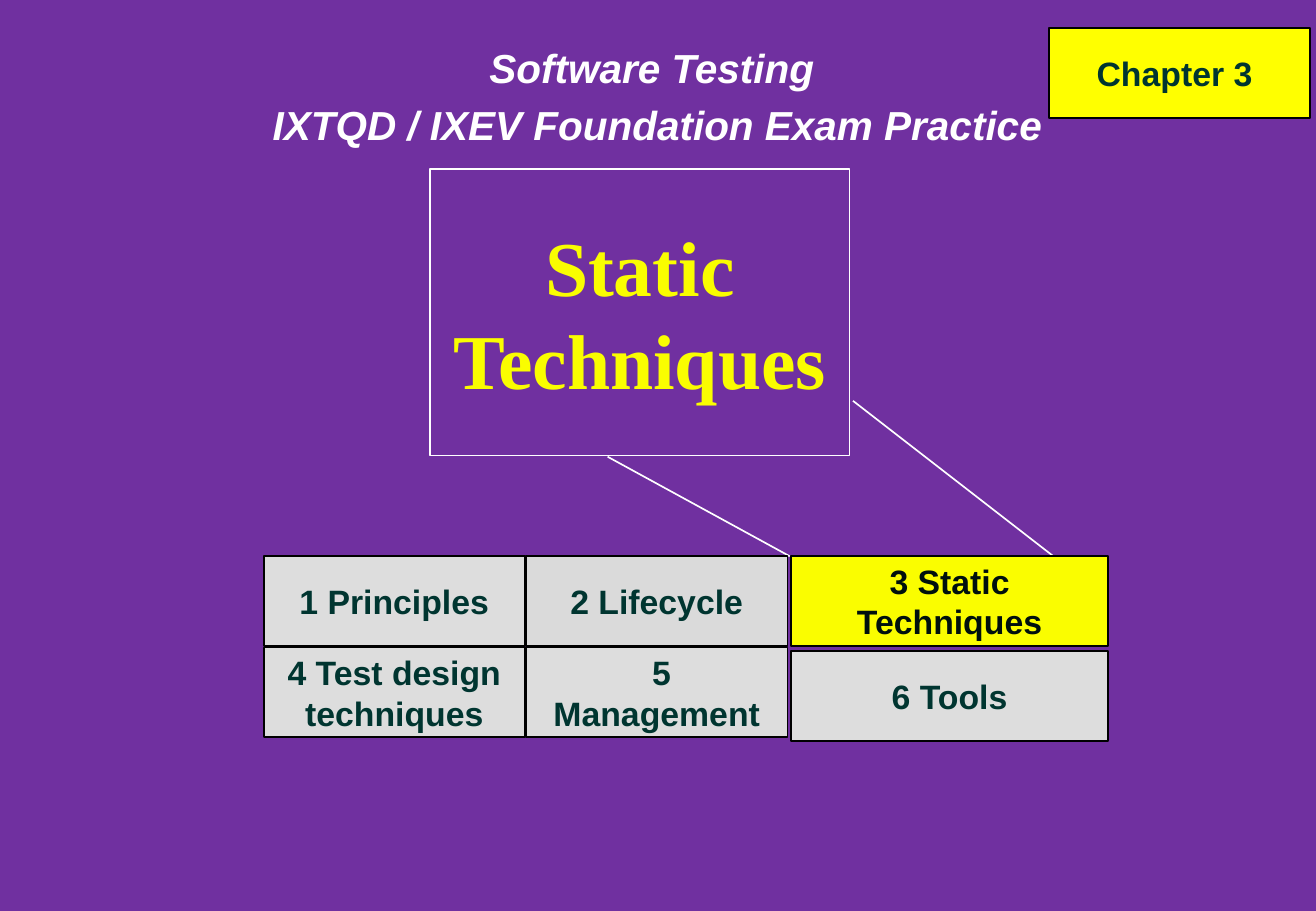
import dataclasses

import pptx
import pptx.dml.color
import pptx.enum.shapes
import pptx.enum.text
import pptx.oxml.ns
import pptx.util

PX = 9144  # 100 px to the inch
COLORS = {
    "back": "7030A0", "white": "FFFFFF", "black": "000000",
    "gray": "DDDDDD", "pale": "DADADA", "lemon": "FAFD00",
    "yellow": "FFFF00", "green": "003530", "dark": "00100E",
}


@dataclasses.dataclass
class Box:
    text: str
    left: int
    top: int
    width: int = 215
    fill: str = "gray"
    ink: str = "green"


@dataclasses.dataclass
class Line:
    x1: int
    y1: int
    x2: int
    y2: int


def px(*sizes: int) -> list:
    return [pptx.util.Emu(size * PX) for size in sizes]


def rgb(name: str) -> pptx.dml.color.RGBColor:
    return pptx.dml.color.RGBColor.from_string(COLORS[name])


def set_line(shape, color: str) -> None:
    shape.line.color.rgb = rgb(color)
    shape.line.width = pptx.util.Pt(1)


def write(shape, *texts: str, size: int = 20, color: str = "green",
          font: str = "Arial", italic: bool = False, space: float | None = None,
          anchor=pptx.enum.text.MSO_ANCHOR.MIDDLE, pad: tuple = (10, 5),
          fit=pptx.enum.text.MSO_AUTO_SIZE.NONE) -> None:
    frame = shape.text_frame
    frame.word_wrap = True
    frame.auto_size = fit
    frame.vertical_anchor = anchor
    frame.margin_left, frame.margin_top = px(*pad)
    frame.margin_right, frame.margin_bottom = px(*pad)
    for i, text in enumerate(texts):
        para = frame.add_paragraph() if i else frame.paragraphs[0]
        para.text = text
        para.alignment = pptx.enum.text.PP_ALIGN.CENTER
        if space:
            para.line_spacing = space
        for run in para.runs:
            run.font.name = font
            run.font.size = pptx.util.Pt(size)
            run.font.bold = True
            run.font.italic = italic
            run.font.color.rgb = rgb(color)


def add_box(slide, box: Box) -> None:
    kind = pptx.enum.shapes.MSO_SHAPE.RECTANGLE
    shape = slide.shapes.add_shape(kind, *px(box.left, box.top, box.width, 74))
    shape.shadow.inherit = False
    shape.fill.solid()
    shape.fill.fore_color.rgb = rgb(box.fill)
    set_line(shape, "black")
    write(shape, box.text, color=box.ink)


def add_line(slide, line: Line) -> None:
    kind = pptx.enum.shapes.MSO_CONNECTOR.STRAIGHT
    ends = px(line.x1, line.y1, line.x2, line.y2)
    shape = slide.shapes.add_connector(kind, *ends)
    set_line(shape, "white")
    props = shape._element.spPr
    props.append(props.makeelement(pptx.oxml.ns.qn("a:effectLst"), {}))


# Columns and rows of the chapter map
COLS = (217, 433, 651)
ROWS = (458, 533)
WIDE = 261

LINES = [Line(500, 376, 650, 458), Line(867, 458, 702, 330)]
BOXES = [
    Box("1 Principles", COLS[0], ROWS[0]),
    Box("2 Lifecycle", COLS[1], ROWS[0], fill="pale"),
    Box("4 Test design\vtechniques", COLS[0], ROWS[1]),
    Box(" 5 Management", COLS[1], ROWS[1]),
    Box("6 Tools", COLS[2], ROWS[1] + 3, WIDE),
    Box("Chapter 3 ", 863, 23, fill="yellow"),
    Box("3 Static Techniques", COLS[2], ROWS[0], WIDE, "lemon", "dark"),
]


def main() -> None:
    deck = pptx.Presentation()
    deck.slide_width, deck.slide_height = px(1083, 750)
    slide = deck.slides.add_slide(deck.slide_layouts[5])
    slide.background.fill.solid()
    slide.background.fill.fore_color.rgb = rgb("back")

    # Framed title
    title = slide.shapes.title
    title.left, title.top, title.width, title.height = px(354, 139, 345, 236)
    set_line(title, "white")
    write(title, "Static Techniques", size=46, color="lemon",
          font="Times New Roman")

    # Lines from the title to its chapter, then the chapter map
    for line in LINES:
        add_line(slide, line)
    for box in BOXES:
        add_box(slide, box)

    # Course heading
    head = slide.shapes.add_textbox(*px(192, 25, 698, 101))
    write(head, "Software Testing ", "IXTQD / IXEV Foundation Exam Practice",
          size=24, color="white", italic=True, space=1.18, pad=(7, 3),
          anchor=pptx.enum.text.MSO_ANCHOR.TOP,
          fit=pptx.enum.text.MSO_AUTO_SIZE.SHAPE_TO_FIT_TEXT)

    deck.save("out.pptx")


if __name__ == "__main__":
    main()
